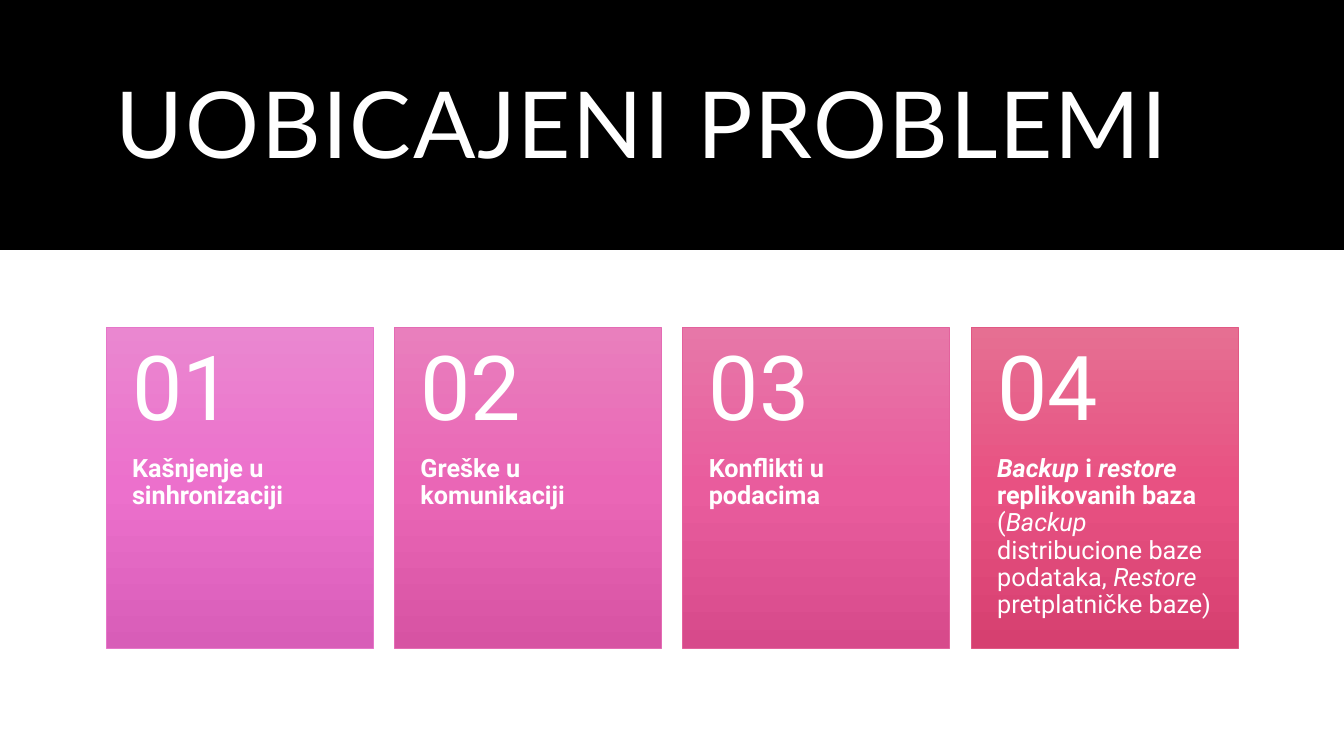
"""Build a slide with a title band and four numbered problem cards."""
from copy import deepcopy
from dataclasses import dataclass

from pptx import Presentation
from pptx.dml.color import RGBColor as Rgb
from pptx.enum.shapes import MSO_SHAPE as Kind
from pptx.enum.text import MSO_ANCHOR as Anchor, MSO_AUTO_SIZE as Fit, PP_ALIGN as Align
from pptx.oxml.ns import qn
from pptx.util import Inches, Pt


@dataclass(frozen=True)
class Theme:
    head: str = "Lato"
    body: str = "Roboto"
    band: str = "000000"
    text: str = "FFFFFF"
    title: int = 66
    number: int = 64
    label: int = 18
    fades: tuple = (
        ("EA87D0", "EC70CC", "D85DB8"),
        ("E97FBD", "EA66B6", "D753A3"),
        ("E777A8", "E95C9D", "D74A8B"),
        ("E66F92", "E85182", "D64070"),
    )
    edges: tuple = ("E676C9", "E46CB4", "E3629D", "E15884")


THEME = Theme()
LEFT, TOP, WIDE, HIGH = 1.05, 3.25, 2.65, 3.18
STEP = 2.86
SPLIT = 1.27
CARDS = (
    [("Kašnjenje u sinhronizaciji", "b")],
    [("Greške u komunikaciji", "b")],
    [("Konflikti u podacima", "b")],
    [
        ("Backup", "bi"), (" i ", "b"), ("restore", "bi"),
        (" replikovanih baza ", "b"), ("(", ""), ("Backup ", "i"),
        ("distribucione baze podataka, ", ""), ("Restore", "i"),
        (" pretplatničke baze)", ""),
    ],
)


def style(para, face, size):
    para.alignment = Align.LEFT
    para.line_spacing = 0.9
    para.font.name = face
    para.font.size = Pt(size)
    para.font.color.rgb = Rgb.from_string(THEME.text)


def add_rect(slide, x, y, w, h):
    rect = slide.shapes.add_shape(
        Kind.RECTANGLE, Inches(x), Inches(y), Inches(w), Inches(h))
    rect.shadow.inherit = False
    return rect


def add_head(slide, text):
    title = slide.shapes.title
    title.left, title.top = Inches(LEFT), Inches(0.35)
    title.width, title.height = Inches(11.23), Inches(1.86)
    frame = title.text_frame
    frame.text = text
    frame.auto_size = Fit.NONE
    frame.vertical_anchor = Anchor.MIDDLE
    para = frame.paragraphs[0]
    style(para, THEME.head, THEME.title)
    para.runs[0].font._element.set("spc", "120")

    band = add_rect(slide, 0, 0, 13.33, 2.48)
    band.fill.solid()
    band.fill.fore_color.rgb = Rgb.from_string(THEME.band)
    band.line.fill.background()
    title._element.addprevious(band._element)


def add_panel(slide, x, fade, edge):
    panel = add_rect(slide, x, TOP, WIDE, HIGH)
    fill = panel.fill
    fill.gradient()
    fill.gradient_angle = 270
    stops = panel._element.spPr.find(".//" + qn("a:gsLst"))
    stops.append(deepcopy(stops[-1]))
    for stop, place, tone in zip(fill.gradient_stops, (0, 0.5, 1), fade):
        stop.position = place
        stop.color.rgb = Rgb.from_string(tone)
    panel.line.color.rgb = Rgb.from_string(edge)
    panel.line.width = Pt(0.5)


def add_text(slide, x, y, h, runs, size, pads, anchor):
    box = slide.shapes.add_textbox(Inches(x), Inches(y), Inches(WIDE), Inches(h))
    frame = box.text_frame
    frame.word_wrap = True
    frame.vertical_anchor = anchor
    frame.margin_left = frame.margin_right = Inches(0.26)
    frame.margin_top, frame.margin_bottom = map(Inches, pads)
    para = frame.paragraphs[0]
    style(para, THEME.body, size)
    for text, marks in runs:
        run = para.add_run()
        run.text = text
        run.font.bold = "b" in marks
        run.font.italic = "i" in marks


def add_card(slide, index, runs):
    x = LEFT + index * STEP
    add_panel(slide, x, THEME.fades[index], THEME.edges[index])
    add_text(slide, x, TOP + SPLIT, HIGH - SPLIT, runs, THEME.label,
             (0, 0.36), Anchor.TOP)
    add_text(slide, x, TOP, SPLIT, [(f"{index + 1:02}", "")], THEME.number,
             (0.18, 0.18), Anchor.MIDDLE)


def main():
    deck = Presentation()
    deck.slide_width, deck.slide_height = Inches(13.33), Inches(7.5)
    slide = deck.slides.add_slide(deck.slide_layouts[5])
    add_head(slide, "UOBICAJENI PROBLEMI")
    for index, runs in enumerate(CARDS):
        add_card(slide, index, runs)
    deck.save("out.pptx")


if __name__ == "__main__":
    main()
